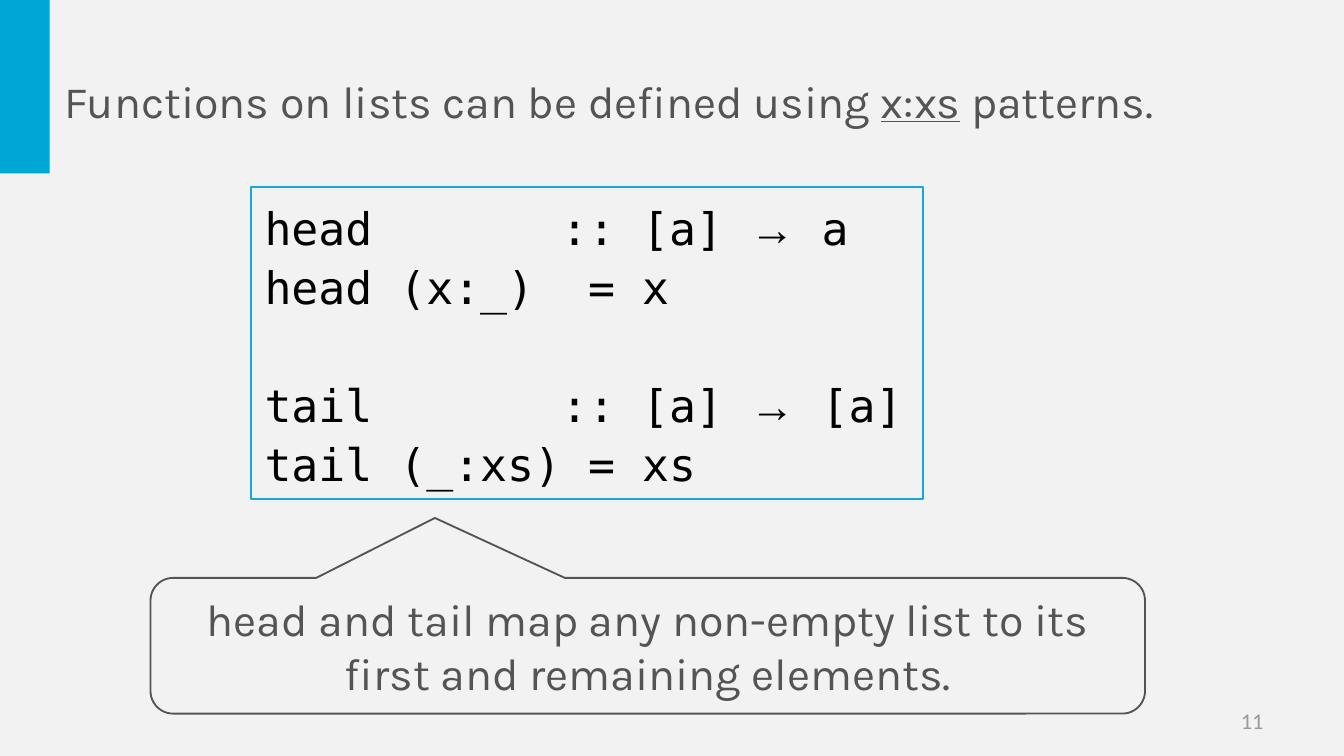
from dataclasses import dataclass

import pptx
import pptx.dml.color
import pptx.enum.shapes
import pptx.enum.text
import pptx.util

Inches = pptx.util.Inches
Pt = pptx.util.Pt
RGBColor = pptx.dml.color.RGBColor
MSO_SHAPE = pptx.enum.shapes.MSO_SHAPE
PP_ALIGN = pptx.enum.text.PP_ALIGN
MSO_ANCHOR = pptx.enum.text.MSO_ANCHOR

BACKGROUND = RGBColor(0xF2, 0xF2, 0xF2)
ACCENT = RGBColor(0x00, 0xA6, 0xD6)
CODE_BORDER = RGBColor(0x15, 0xA8, 0xDB)
BODY = RGBColor(0x54, 0x54, 0x54)
CODE = RGBColor(0x00, 0x00, 0x00)
MUTED = RGBColor(0x99, 0x99, 0x99)

BODY_FONT = "Karla"
CODE_FONT = "DejaVu Sans Mono"
ARROW_FONT = "Times New Roman"
NUMBER_FONT = "Calibri"
ARROW = "→"

CODE_LINES = [
    "head       :: [a] → a",
    "head (x:_)  = x",
    "",
    "tail       :: [a] → [a]",
    "tail (_:xs) = xs",
]


@dataclass
class Box:
    left: float
    top: float
    width: float
    height: float

    def lengths(self) -> tuple:
        return tuple(map(Inches, (self.left, self.top, self.width, self.height)))


def format_font(font, name: str, size: float, color: RGBColor) -> None:
    font.name = name
    font.size = Pt(size)
    font.color.rgb = color


def add_run(p, text: str, name: str, size: float, color: RGBColor):
    r = p.add_run()
    r.text = text
    format_font(r.font, name, size, color)
    return r


def add_shape(slide, kind, box: Box, fill=None, line=None):
    sp = slide.shapes.add_shape(kind, *box.lengths())
    sp.shadow.inherit = False
    if fill is None:
        sp.fill.background()
    else:
        sp.fill.solid()
        sp.fill.fore_color.rgb = fill
    if line is None:
        sp.line.fill.background()
    else:
        sp.line.color.rgb = line
        sp.line.width = Pt(1)
    return sp


def set_frame(sp, wrap: bool = True):
    tf = sp.text_frame
    tf.word_wrap = wrap
    tf.auto_size = pptx.enum.text.MSO_AUTO_SIZE.NONE
    tf.vertical_anchor = MSO_ANCHOR.MIDDLE
    return tf


def add_title(slide) -> None:
    title = slide.shapes.title
    title.left, title.top, title.width, title.height = Box(0.38, 0.5, 9.39, 0.5).lengths()
    p = set_frame(title).paragraphs[0]
    p.alignment = PP_ALIGN.LEFT
    add_run(p, "Functions on lists can be defined using ", BODY_FONT, 24, BODY)
    add_run(p, "x:xs", BODY_FONT, 24, BODY).font.underline = True
    add_run(p, " patterns.", BODY_FONT, 24, BODY)


def add_code(slide) -> None:
    sp = add_shape(slide, MSO_SHAPE.RECTANGLE, Box(1.87, 1.39, 5, 2.32), line=CODE_BORDER)
    tf = set_frame(sp, wrap=False)
    for i, text in enumerate(CODE_LINES):
        p = tf.add_paragraph() if i else tf.paragraphs[0]
        p.alignment = PP_ALIGN.LEFT
        p.line_spacing = 1.1
        format_font(p.font, CODE_FONT, 24, CODE)
        before, arrow, after = text.partition(ARROW)
        for part, font in ((before, CODE_FONT), (arrow, ARROW_FONT), (after, CODE_FONT)):
            if part:
                add_run(p, part, font, 24, CODE)


def add_callout(slide) -> None:
    sp = add_shape(slide, MSO_SHAPE.ROUNDED_RECTANGULAR_CALLOUT,
                   Box(1.12, 4.3, 7.4, 1.01), line=BODY)
    for i, value in enumerate((-0.214, -0.942, 0.167)):
        sp.adjustments[i] = value
    p = set_frame(sp).paragraphs[0]
    p.alignment = PP_ALIGN.CENTER
    add_run(p, "head and tail map any non-empty list to its first and remaining elements.",
            BODY_FONT, 24, BODY)


def add_slide_number(slide) -> None:
    sp = slide.shapes.add_textbox(*Box(7.17, 5.21, 2.33, 0.3).lengths())
    p = set_frame(sp).paragraphs[0]
    p.alignment = PP_ALIGN.RIGHT
    add_run(p, "11", NUMBER_FONT, 12, MUTED)


def main() -> None:
    prs = pptx.Presentation()
    prs.slide_width = Inches(10)
    prs.slide_height = prs.slide_width * 9 // 16
    slide = prs.slides.add_slide(prs.slide_layouts[5])
    slide.background.fill.solid()
    slide.background.fill.fore_color.rgb = BACKGROUND

    add_shape(slide, MSO_SHAPE.RECTANGLE, Box(0, 0, 0.37, 1.29), fill=ACCENT)
    add_slide_number(slide)
    add_title(slide)
    add_code(slide)
    add_callout(slide)
    prs.save("out.pptx")


if __name__ == "__main__":
    main()
